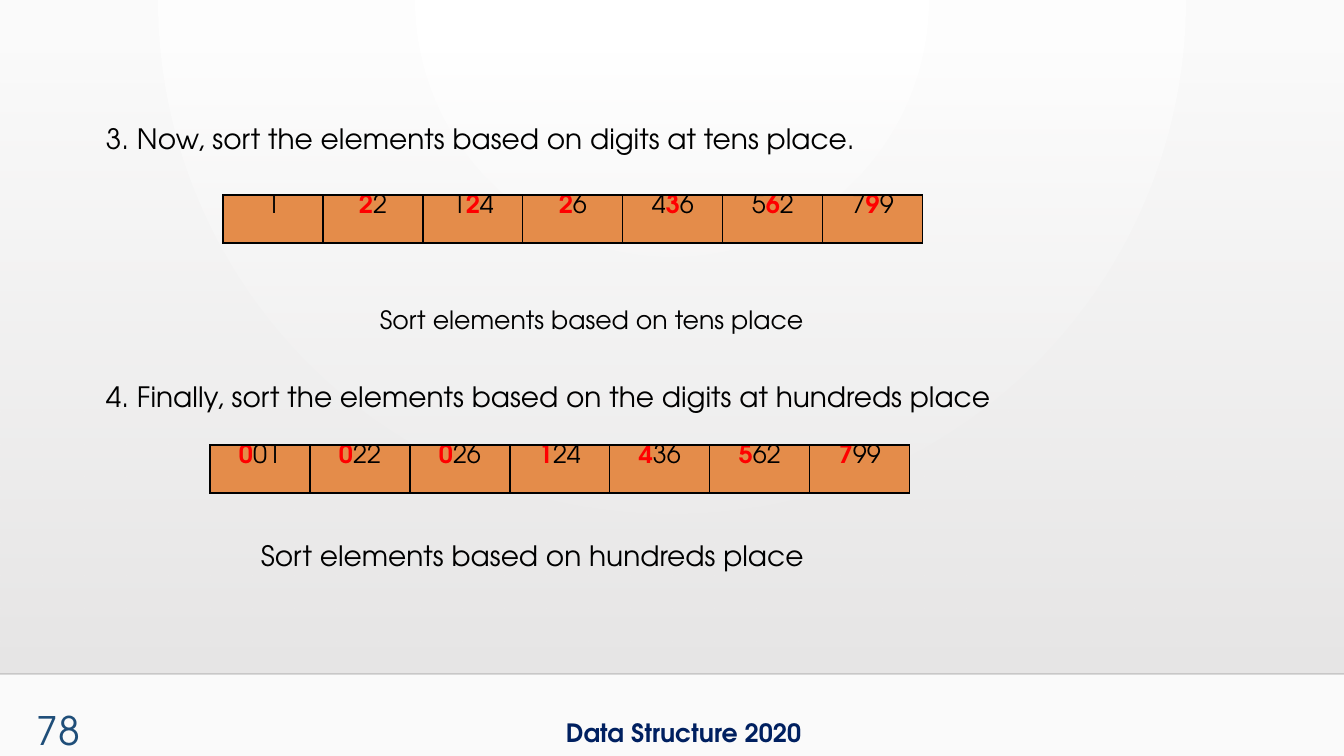
from lxml.etree import SubElement
from pptx import Presentation
from pptx.dml.color import RGBColor
from pptx.enum.shapes import MSO_CONNECTOR, MSO_SHAPE
from pptx.enum.text import PP_ALIGN
from pptx.oxml.ns import qn
from pptx.util import Pt

EMU_PER_PX = 914400 / 100.8
WIDTH, HEIGHT = 1344, 756


def px(*lengths):
    return [round(length * EMU_PER_PX) for length in lengths]


def color(hex_string):
    return RGBColor.from_string(hex_string)


def set_alpha(color_parent, percent):
    """Set the opacity of the first srgbClr found under an element."""
    rgb = next(color_parent.iter(qn("a:srgbClr")))
    SubElement(rgb, qn("a:alpha"), val=str(percent * 1000))


class SortSlide:
    font_name = "TeX Gyre Adventor"
    ink, accent, cell_fill = "000000", "FF0000", "E48C4A"

    def __init__(self, presentation):
        self.slide = presentation.slides.add_slide(presentation.slide_layouts[6])
        self.shapes = self.slide.shapes

    def style(self, font, size, hex_color, bold=False):
        font.name, font.size, font.bold = self.font_name, Pt(size), bold
        font.color.rgb = color(hex_color)

    def gradient(self, fill, *stops):
        fill.gradient()
        for stop, hex_color in zip(fill.gradient_stops, stops):
            stop.color.rgb = color(hex_color)

    def background(self, center, edge):
        """Fill the background with a circular gradient from the top middle."""
        self.gradient(self.slide.background.fill, center, edge)
        grad = next(self.slide.element.iter(qn("a:gradFill")))
        grad.remove(grad.find(qn("a:lin")))
        circle = SubElement(grad, qn("a:path"), path="circle")
        SubElement(circle, qn("a:fillToRect"), l="43000", t="0", r="43000", b="100000")

    def shade(self, x, y, width, height, top, bottom):
        """Add a rectangle that fades in from clear at its top."""
        panel = self.shapes.add_shape(MSO_SHAPE.RECTANGLE, *px(x, y, width, height))
        panel.shadow.inherit = False
        panel.line.fill.background()
        self.gradient(panel.fill, top, bottom)
        panel.fill.gradient_angle = 270
        set_alpha(panel.element.spPr, 0)

    def rule(self, y, opacity):
        line = self.shapes.add_connector(MSO_CONNECTOR.STRAIGHT, *px(0, y, WIDTH, y))
        line.line.width = Pt(1)
        line.line.color.rgb = color(self.ink)
        set_alpha(line.element.spPr, opacity)
        SubElement(line.element.spPr, qn("a:effectLst"))

    def text(self, box, lines, size, hex_color=ink, bold=False, wrap=False,
             align=PP_ALIGN.LEFT, spacing=1.0, gap=0):
        frame = self.shapes.add_textbox(*px(*box)).text_frame
        frame.word_wrap = wrap
        frame.text = "\n".join(lines)
        for index, paragraph in enumerate(frame.paragraphs):
            paragraph.alignment = align
            paragraph.line_spacing = spacing
            paragraph.space_before = Pt(gap if index else 0)
            for run in paragraph.runs:
                self.style(run.font, size, hex_color, bold)

    def border(self, cell):
        properties = cell._tc.get_or_add_tcPr()
        for side in ("lnL", "lnR", "lnT", "lnB"):
            line = SubElement(properties, qn(f"a:{side}"), w=str(Pt(1)))
            fill = SubElement(line, qn("a:solidFill"))
            SubElement(fill, qn("a:srgbClr"), val=self.ink)

    def number_row(self, x, y, numbers, place):
        """Add a row of numbers with the digit at a place from the right in red."""
        column, height = 100, 48
        table = self.shapes.add_table(
            1, len(numbers), *px(x, y, column * len(numbers), height)).table
        table.first_row = table.horz_banding = False
        for cell, number in zip(table.rows[0].cells, numbers):
            self.border(cell)
            cell.fill.solid()
            cell.fill.fore_color.rgb = color(self.cell_fill)
            cell.margin_top = cell.margin_bottom = 0
            paragraph = cell.text_frame.paragraphs[0]
            paragraph.alignment = PP_ALIGN.CENTER
            at = len(number) - place
            parts = [number] if at < 0 else [number[:at], number[at], number[at + 1:]]
            for index, digits in enumerate(parts):
                if digits:
                    run = paragraph.add_run()
                    run.text = digits
                    sorted_digit = index == 1
                    self.style(run.font, 18, self.accent if sorted_digit else self.ink,
                               sorted_digit)


def main():
    presentation = Presentation()
    presentation.slide_width, presentation.slide_height = px(WIDTH, HEIGHT)

    page = SortSlide(presentation)
    page.background("FFFFFF", "FAFAFA")
    page.shade(0, 51, WIDTH, 623, "E7E6E6", "E8E7E7")
    page.rule(674, 20)
    page.text((556, 712, 263, 40), ["Data Structure 2020"], 18, "002060", bold=True)

    steps = ["3. Now, sort the elements based on digits at tens place.",
             "4. Finally, sort the elements based on the digits at hundreds place"]
    page.text((96, 110, 1087, 538), steps, 20, wrap=True, spacing=1.2, gap=155)
    page.text((370, 299, 449, 40), ["Sort elements based on tens place"], 18)
    page.text((251, 534, 568, 44), ["Sort elements based on hundreds place"], 20)

    page.number_row(223, 195, ["1", "22", "124", "26", "436", "562", "799"], place=2)
    page.number_row(210, 445, ["001", "022", "026", "124", "436", "562", "799"], place=3)

    page.text((0, 701, 90, 55), ["78"], 28, "1F4E79", wrap=True, align=PP_ALIGN.RIGHT)
    presentation.save("out.pptx")


if __name__ == "__main__":
    main()
